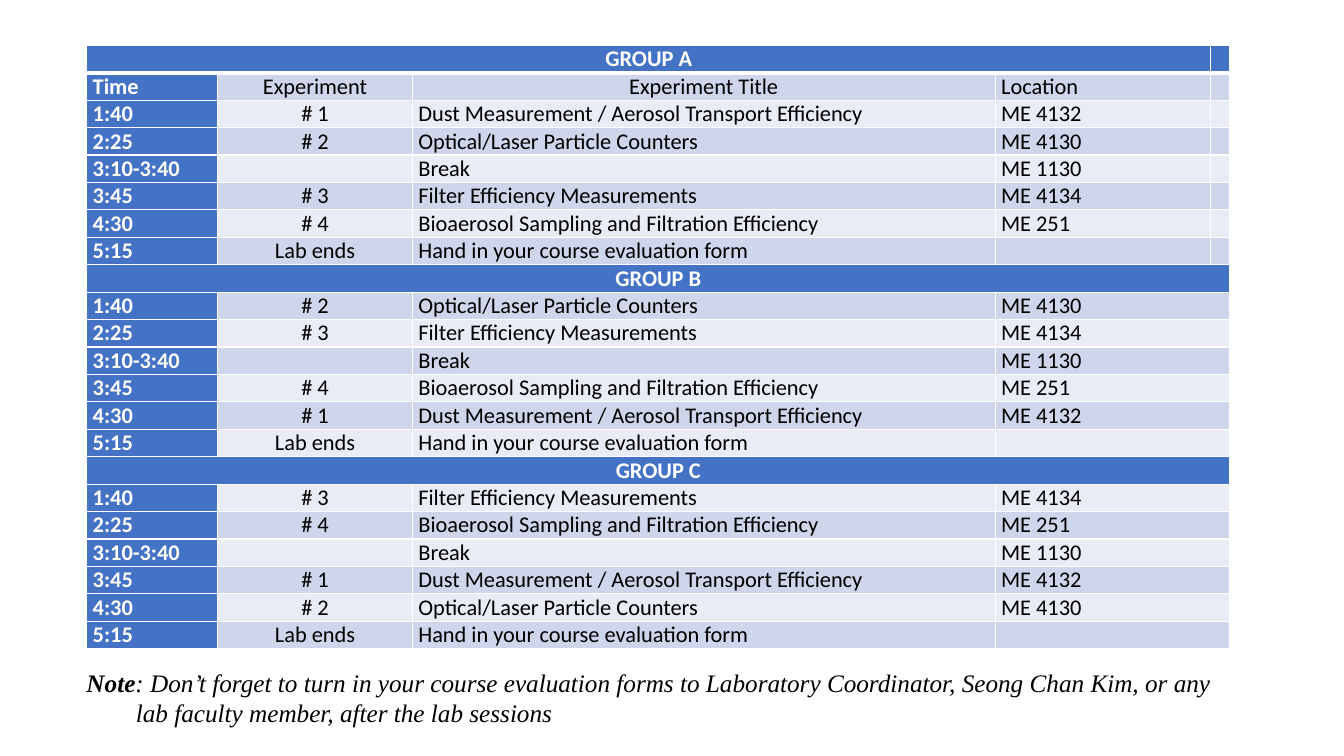
from lxml import etree
from pptx import Presentation
from pptx.dml.color import RGBColor
from pptx.enum.text import MSO_ANCHOR as Anchor, MSO_AUTO_SIZE as AutoSize, PP_ALIGN as Align
from pptx.oxml.ns import qn
from pptx.util import Inches, Pt

HEADINGS = ["Time", "Experiment", "Experiment Title", "Location"]
TIMES = ["1:40", "2:25", "3:10-3:40", "3:45", "4:30", "5:15"]
EXPERIMENTS = {
    1: ("# 1", "Dust Measurement / Aerosol Transport Efficiency", "ME 4132"),
    2: ("# 2", "Optical/Laser Particle Counters", "ME 4130"),
    3: ("# 3", "Filter Efficiency Measurements", "ME 4134"),
    4: ("# 4", "Bioaerosol Sampling and Filtration Efficiency", "ME 251"),
}
BREAK = ("", "Break", "ME 1130")
END = ("Lab ends", "Hand in your course evaluation form", "")
GROUPS = [
    ("GROUP A", [1, 2, 3, 4]),
    ("GROUP B", [2, 3, 4, 1]),
    ("GROUP C", [3, 4, 1, 2]),
]
NOTE = [
    ("Note", True),
    (": Don’t forget to turn in your course evaluation forms to Laboratory Coordinator, "
     "Seong Chan Kim, or any lab faculty member, after the lab sessions", False),
]
COLUMN_WIDTHS = [1.3, 1.93, 5.78, 2.14, 0.19]
ROW_HEIGHT = 0.22
BLUE, WHITE, BLACK = "4472C4", "FFFFFF", "000000"
BANDS = ["E9EBF5", "CFD5EA"]
CELL_FORMAT = {
    "margin_left": Inches(0.06), "margin_right": Inches(0.06),
    "margin_top": 0, "margin_bottom": 0,
}


def color(value):
    return RGBColor.from_string(value)


def set_font(font, **values):
    font.color.rgb = color(values.pop("color"))
    for name, value in values.items():
        setattr(font, name, value)


def set_borders(cell, row_index):
    properties = cell._tc.get_or_add_tcPr()
    for position, side in enumerate(["L", "R", "T", "B"]):
        thick = (row_index, side) in [(0, "B"), (1, "T")]
        line = etree.Element(qn(f"a:ln{side}"), w=str(Pt(3 if thick else 1)))
        fill = etree.SubElement(line, qn("a:solidFill"))
        etree.SubElement(fill, qn("a:srgbClr"), val=WHITE)
        properties.insert(position, line)


def fill_cell(cell, text, row_index, fill, align, anchor):
    for name, value in CELL_FORMAT.items():
        setattr(cell, name, value)
    cell.vertical_anchor = anchor
    cell.fill.solid()
    cell.fill.fore_color.rgb = color(fill)
    set_borders(cell, row_index)
    paragraph = cell.text_frame.paragraphs[0]
    paragraph.alignment = align
    if text:
        run = paragraph.add_run()
        run.text = text
        on_blue = fill == BLUE
        set_font(run.font, name="Calibri", size=Pt(16), bold=on_blue,
                 color=WHITE if on_blue else BLACK)
    else:
        etree.SubElement(paragraph._p, qn("a:endParaRPr"), sz="1600")


def schedule_rows():
    rows = []
    for group_index, (title, order) in enumerate(GROUPS):
        rows.append([title])
        if group_index == 0:
            rows.append(HEADINGS)
        sessions = [EXPERIMENTS[number] for number in order]
        sessions = sessions[:2] + [BREAK] + sessions[2:] + [END]
        rows += [[time, *session] for time, session in zip(TIMES, sessions)]
    return rows


def add_schedule(slide):
    rows = schedule_rows()
    frame = slide.shapes.add_table(
        len(rows), len(COLUMN_WIDTHS), Inches(0.86), Inches(0.45),
        Inches(sum(COLUMN_WIDTHS)), Inches(ROW_HEIGHT * len(rows)))
    table = frame.table
    for column, width in zip(table.columns, COLUMN_WIDTHS):
        column.width = Inches(width)
    last = len(COLUMN_WIDTHS) - 1
    group_a_end = len(TIMES) + 2
    for row_index, values in enumerate(rows):
        table.rows[row_index].height = Inches(ROW_HEIGHT)
        is_group = len(values) == 1
        for column_index in range(last + 1):
            text = values[column_index] if column_index < len(values) else ""
            centered = is_group or column_index == 1 or (values is HEADINGS and column_index == 2)
            fill_cell(
                table.cell(row_index, column_index), text, row_index,
                BLUE if is_group or column_index == 0 else BANDS[row_index % 2],
                Align.CENTER if centered else Align.LEFT,
                Anchor.TOP if is_group else Anchor.MIDDLE)
        first_merged = 0 if is_group else last - 1
        last_merged = last if row_index >= group_a_end else last - 1
        if first_merged < last_merged:
            table.cell(row_index, first_merged).merge(table.cell(row_index, last_merged))
    frame.height = Inches(5.87)


def add_note(slide):
    box = slide.shapes.add_textbox(Inches(0.76), Inches(6.57), Inches(11.44), Inches(0.71))
    box.text_frame.word_wrap = True
    box.text_frame.auto_size = AutoSize.SHAPE_TO_FIT_TEXT
    paragraph = box.text_frame.paragraphs[0]
    properties = paragraph._p.get_or_add_pPr()
    properties.set("marL", str(Inches(0.49)))
    properties.set("indent", str(-Inches(0.49)))
    for text, bold in NOTE:
        run = paragraph.add_run()
        run.text = text
        set_font(run.font, name="Times New Roman", size=Pt(18), bold=bold,
                 italic=True, color=BLACK)


def main():
    presentation = Presentation()
    presentation.slide_width = Inches(13.33)
    presentation.slide_height = Inches(7.5)
    slide = presentation.slides.add_slide(presentation.slide_layouts[6])
    add_schedule(slide)
    add_note(slide)
    presentation.save("out.pptx")


if __name__ == "__main__":
    main()
